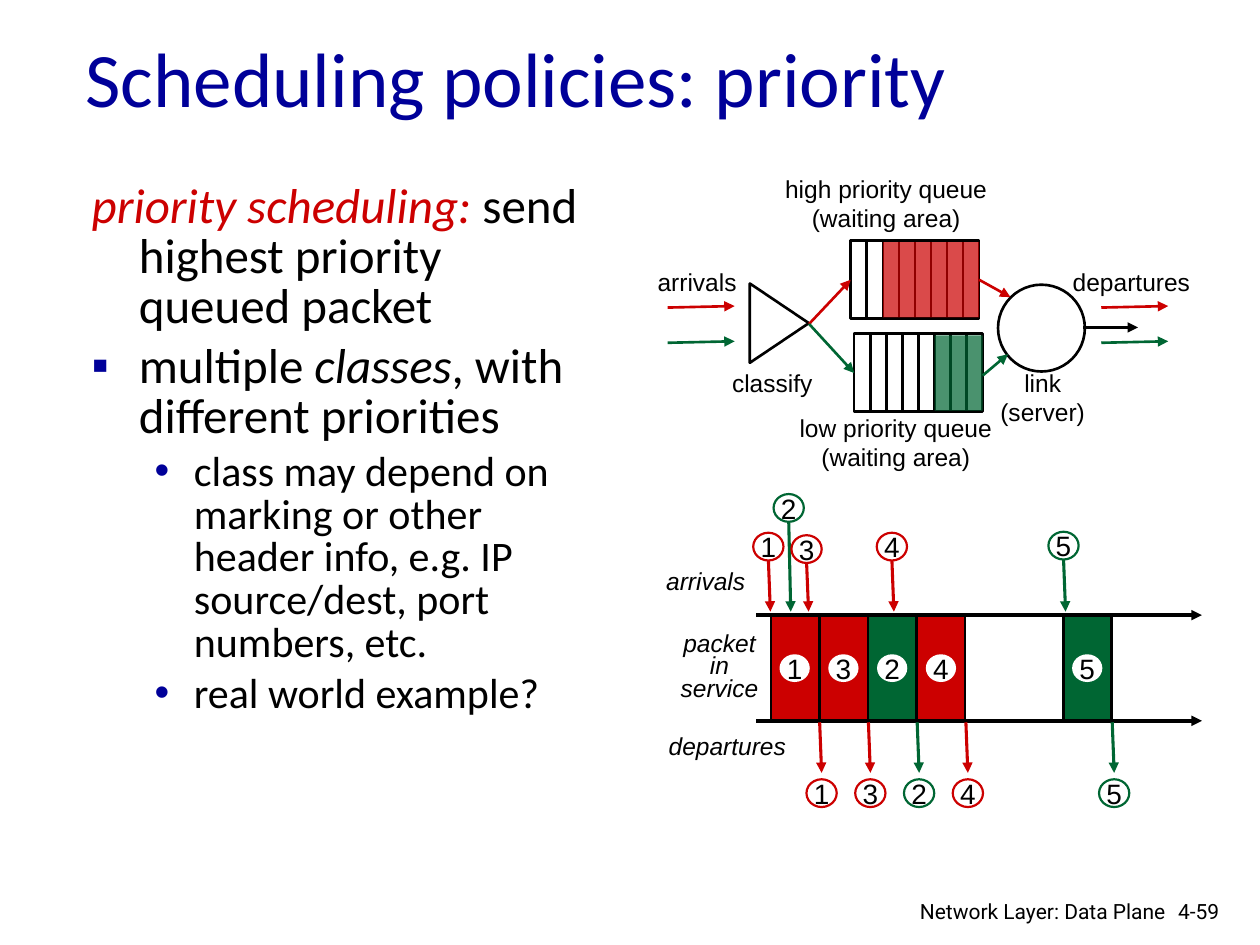
from lxml.etree import SubElement
from pptx import Presentation
from pptx.dml.color import RGBColor
from pptx.enum.shapes import MSO_CONNECTOR, MSO_SHAPE
from pptx.enum.text import MSO_ANCHOR, MSO_AUTO_SIZE, PP_ALIGN
from pptx.oxml.ns import qn
from pptx.util import Cm, Pt

RED, GREEN, NAVY, BLACK, WHITE = "CC0000", "006633", "000099", "000000", "FFFFFF"
TIMELINE_LEFT, TIMELINE_RIGHT = 15.24, 24.23
ARRIVAL_AXIS, DEPARTURE_AXIS = 12.4, 14.53
FIRST_SLOT, SLOT_PITCH = 15.54, 0.983
ARROW_DRIFT = 0.04
PACKET_COLORS = {1: RED, 2: GREEN, 3: RED, 4: RED, 5: GREEN}
ARRIVALS = {1: (15.49, 11.02), 2: (15.9, 10.24), 3: (16.26, 11.07),
            4: (17.98, 11.02), 5: (21.44, 11)}
SERVICE_SLOTS = {1: 0, 3: 1, 2: 2, 4: 3, 5: 6}


def color(value):
    return RGBColor.from_string(value)


def add_run(paragraph, text, size, font, fill, italic=False):
    run = paragraph.add_run()
    run.text = text
    run.font.size = Pt(size)
    run.font.name = font
    run.font.italic = italic
    run.font.color.rgb = color(fill)


def add_outline(slide, kind, left, top, width, height, line=None, line_width=1.5, fill=None, opacity=None):
    outline = slide.shapes.add_shape(kind, Cm(left), Cm(top), Cm(width), Cm(height))
    outline.shadow.inherit = False
    if fill:
        outline.fill.solid()
        outline.fill.fore_color.rgb = color(fill)
    else:
        outline.fill.background()
    if opacity:
        tint = outline._element.spPr.find(qn("a:solidFill")).find(qn("a:srgbClr"))
        SubElement(tint, qn("a:alpha"), val=str(opacity * 1000))
    if line:
        outline.line.color.rgb = color(line)
        outline.line.width = Pt(line_width)
    else:
        outline.line.fill.background()
    return outline


def add_line(slide, start, end, line=BLACK, width=1.5, arrow=True):
    connector = slide.shapes.add_connector(
        MSO_CONNECTOR.STRAIGHT, *(Cm(value) for value in (*start, *end)))
    connector.line.color.rgb = color(line)
    connector.line.width = Pt(width)
    properties = connector._element.spPr
    if arrow:
        SubElement(properties.find(qn("a:ln")), qn("a:tailEnd"), type="triangle")
    SubElement(properties, qn("a:effectLst"))


def add_label(slide, lines, left, top, width, height=0.86, size=14, font="Arial",
              italic=False, align=PP_ALIGN.CENTER, wrap=False, spacing=None):
    label = slide.shapes.add_textbox(Cm(left), Cm(top), Cm(width), Cm(height))
    frame = label.text_frame
    frame.word_wrap = wrap
    for index, text in enumerate(lines):
        paragraph = frame.add_paragraph() if index else frame.paragraphs[0]
        paragraph.alignment = align
        if spacing:
            paragraph.line_spacing = Pt(spacing)
        add_run(paragraph, text, size, font, BLACK, italic)


def add_number(slide, number, center_x, center_y, line=None):
    width, height = 0.61, 0.56
    badge = add_outline(slide, MSO_SHAPE.OVAL, center_x - width / 2, center_y - height / 2,
                        width, height, line, 1.25, WHITE)
    frame = badge.text_frame
    frame.margin_left = frame.margin_right = frame.margin_top = frame.margin_bottom = 0
    frame.word_wrap = False
    frame.vertical_anchor = MSO_ANCHOR.MIDDLE
    frame.paragraphs[0].alignment = PP_ALIGN.CENTER
    add_run(frame.paragraphs[0], str(number), 16, "Arial", BLACK)


def add_queue(slide, left, top, waiting, fill):
    width, height, places = 2.59, 1.57, 8
    place = width / places
    add_outline(slide, MSO_SHAPE.RECTANGLE, left, top, width, height, BLACK)
    for index in range(1, places):
        x = left + index * place
        add_line(slide, (x, top), (x, top + height), arrow=False)
    add_outline(slide, MSO_SHAPE.RECTANGLE, left + (places - waiting) * place, top + 0.03,
                waiting * place, height - 0.05, fill=fill, opacity=71)


def add_title(slide):
    title = slide.shapes.title
    title.left, title.top, title.width, title.height = Cm(1.47), Cm(-0.05), Cm(21.59), Cm(3.18)
    frame = title.text_frame
    frame.auto_size = MSO_AUTO_SIZE.NONE
    frame.vertical_anchor = MSO_ANCHOR.MIDDLE
    frame.paragraphs[0].alignment = PP_ALIGN.LEFT
    add_run(frame.paragraphs[0], "Scheduling policies: priority", 44, "Calibri", NAVY)


def add_point(paragraph, runs, size, margin, hanging, bullet=None):
    properties = paragraph._p.get_or_add_pPr()
    properties.set("marL", str(Cm(margin)))
    properties.set("indent", str(-Cm(hanging)))
    if bullet:
        SubElement(SubElement(properties, qn("a:buClr")), qn("a:srgbClr"), val=NAVY)
        SubElement(properties, qn("a:buFont"), typeface="Arial")
        SubElement(properties, qn("a:buChar"), char=bullet)
        paragraph.space_before = Pt(size * 0.2)
    paragraph.line_spacing = 0.85
    for text, fill, italic in runs:
        add_run(paragraph, text, size, "Calibri", fill, italic)


def add_explanation(slide):
    explanation = slide.shapes.add_textbox(Cm(1.6), Cm(3.58), Cm(10.29), Cm(14.17))
    frame = explanation.text_frame
    frame.word_wrap = True
    add_point(frame.paragraphs[0], [("priority scheduling: ", RED, True),
                                    ("send highest priority queued packet", BLACK, False)],
              28, 0.95, 0.95)
    add_point(frame.add_paragraph(), [("multiple ", BLACK, False), ("classes", BLACK, True),
                                      (", with different priorities", BLACK, False)],
              28, 0.95, 0.95, "▪")
    for text in ("class may depend on marking or other header info, e.g. IP source/dest, "
                 "port numbers, etc.", "real world example?"):
        add_point(frame.add_paragraph(), [(text, BLACK, False)], 24, 2.06, 0.79, "•")


def add_queueing_model(slide):
    add_queue(slide, 17.22, 6.73, 3, GREEN)
    add_queue(slide, 17.15, 4.85, 6, RED)
    classifier = add_outline(slide, MSO_SHAPE.ISOSCELES_TRIANGLE, 14.91, 5.92, 1.6, 1.19, BLACK)
    classifier.rotation = 90
    add_outline(slide, MSO_SHAPE.OVAL, 20.12, 5.74, 1.75, 1.75, BLACK)
    for start, end, line in (
            ((16.31, 6.53), (17.15, 5.64), RED),
            ((16.31, 6.53), (17.22, 7.52), GREEN),
            ((19.74, 5.64), (20.37, 5.99), RED),
            ((19.81, 7.57), (20.32, 7.14), GREEN),
            ((21.84, 6.6), (22.94, 6.6), BLACK)):
        add_line(slide, start, end, line)
    for x in (13.46, 22.2):
        for y, line in ((6.2, RED), (6.91, GREEN)):
            add_line(slide, (x, y), (x + 1.35, y - 0.03), line)
    for lines, left, top, width in (
            (("high priority queue", "(waiting area)"), 15.49, 3.38, 4.75),
            (("low priority queue", "(waiting area)"), 15.85, 8.2, 4.42),
            (("arrivals",), 13, 5.26, 2.11),
            (("classify",), 14.48, 7.29, 2.18),
            (("departures",), 21.36, 5.26, 2.9),
            (("link", "(server)"), 19.84, 7.29, 2.36)):
        add_label(slide, lines, left, top, width, 0.27 + 0.59 * len(lines))


def add_timeline(slide):
    for axis in (ARRIVAL_AXIS, DEPARTURE_AXIS):
        add_line(slide, (TIMELINE_LEFT, axis), (TIMELINE_RIGHT, axis), width=2)
    for number, slot in SERVICE_SLOTS.items():
        fill = PACKET_COLORS[number]
        left = FIRST_SLOT + slot * SLOT_PITCH
        add_outline(slide, MSO_SHAPE.RECTANGLE, left, 12.42, 0.97, 2.1, BLACK, 1.25, fill)
        add_number(slide, number, left + 0.48, 13.47)
        finish = left + SLOT_PITCH
        add_line(slide, (finish, 14.56), (finish + ARROW_DRIFT, 15.58), fill, 1.75)
        add_number(slide, number, finish + ARROW_DRIFT, 15.99, fill)
    for number, (x, y) in ARRIVALS.items():
        line = PACKET_COLORS[number]
        add_line(slide, (x, y + 0.28), (x + ARROW_DRIFT, 12.33), line, 1.75)
        add_number(slide, number, x, y, line)
    add_label(slide, ["arrivals"], 13.18, 11.28, 2.24, italic=True, align=PP_ALIGN.LEFT)
    add_label(slide, ["departures"], 13.23, 14.61, 3.02, italic=True, align=PP_ALIGN.LEFT)
    add_label(slide, ["packet in service"], 13.31, 12.67, 2.39, 1.65,
              italic=True, wrap=True, spacing=12.8)


def add_footer(slide):
    add_label(slide, ["4-59"], 23.5, 17.98, 1.55, 0.76, 12, "Roboto",
              align=PP_ALIGN.LEFT, wrap=True)
    add_label(slide, ["Network Layer: Data Plane"], 17.7, 17.98, 6.05, 0.66, 12, "Roboto",
              align=PP_ALIGN.RIGHT, wrap=True)


def main():
    presentation = Presentation()
    presentation.slide_width, presentation.slide_height = Cm(25.4), Cm(19.05)
    slide = presentation.slides.add_slide(presentation.slide_layouts[5])
    add_title(slide)
    add_explanation(slide)
    add_queueing_model(slide)
    add_timeline(slide)
    add_footer(slide)
    presentation.save("out.pptx")


if __name__ == "__main__":
    main()
